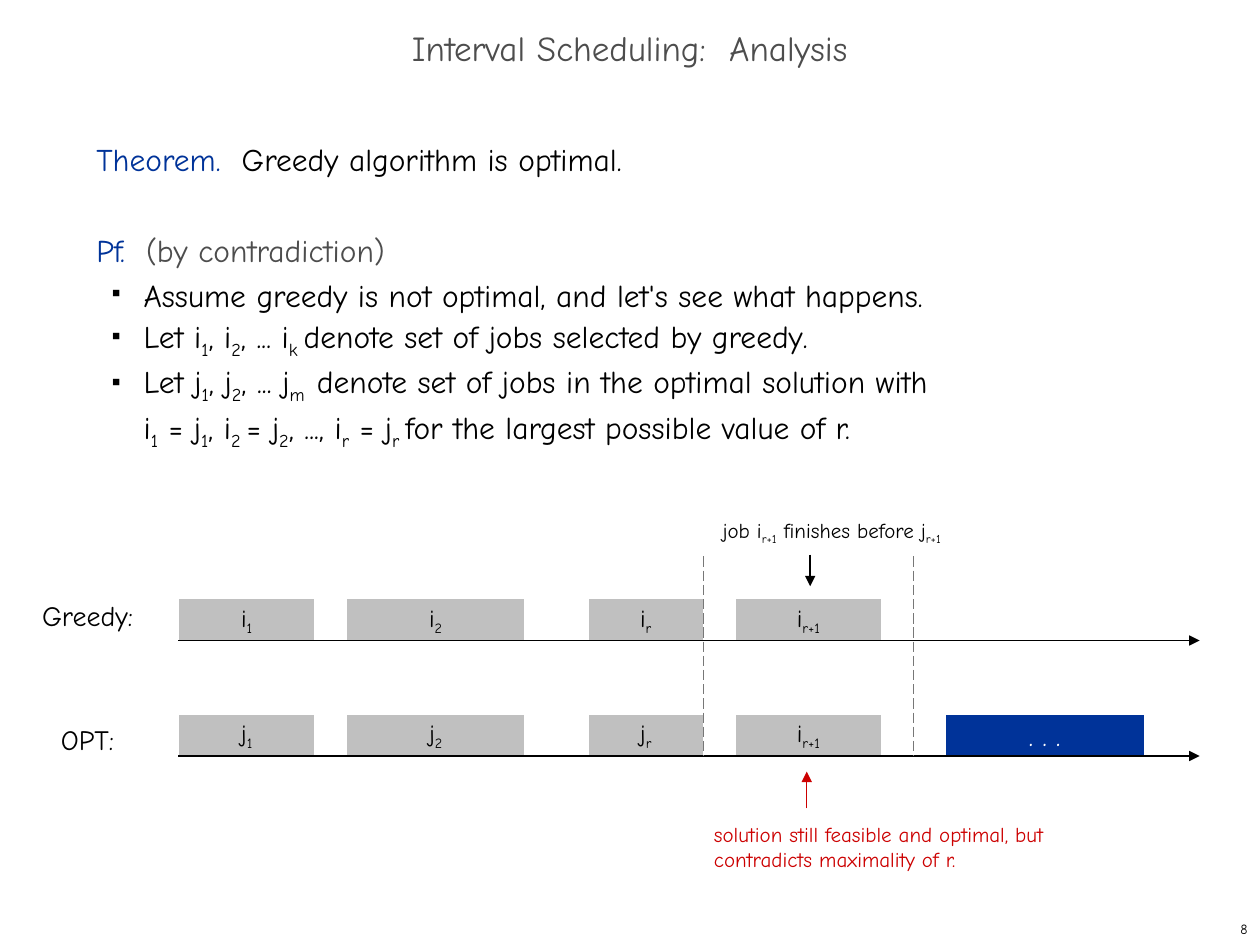
from lxml import etree
from pptx import Presentation
from pptx.dml.color import RGBColor
from pptx.enum.dml import MSO_LINE
from pptx.enum.shapes import MSO_CONNECTOR, MSO_SHAPE
from pptx.enum.text import MSO_ANCHOR, PP_ALIGN
from pptx.oxml.ns import qn
from pptx.util import Pt

BLACK = RGBColor(0x00, 0x00, 0x00)
WHITE = RGBColor(0xFF, 0xFF, 0xFF)
DARK = RGBColor(0x4D, 0x4D, 0x4D)
GRAY = RGBColor(0x77, 0x77, 0x77)
SILVER = RGBColor(0xC0, 0xC0, 0xC0)
BLUE = RGBColor(0x00, 0x33, 0x99)
RED = RGBColor(0xCC, 0x00, 0x00)
FONT = "Comic Neue"
LEFT, CENTER, RIGHT = PP_ALIGN.LEFT, PP_ALIGN.CENTER, PP_ALIGN.RIGHT
TOP, MIDDLE = MSO_ANCHOR.TOP, MSO_ANCHOR.MIDDLE


def add_runs(p, text, size, color):
    """Add text to p; every second part between bars is a subscript."""
    for i, part in enumerate(text.split("|")):
        for n, line in enumerate(part.split("\n")):
            if n:
                p.add_line_break()
            if not line:
                continue
            r = p.add_run()
            r.text = line
            r.font.name, r.font.size = FONT, Pt(size)
            r.font.color.rgb = color
            if i % 2:
                r.font._element.set("baseline", "-25000")


def add_line(x1, y1, x2, y2, color, width, arrow=True):
    c = s.shapes.add_connector(MSO_CONNECTOR.STRAIGHT, Pt(x1), Pt(y1), Pt(x2), Pt(y2))
    c.line.color.rgb, c.line.width = color, Pt(width)
    if arrow:
        etree.SubElement(c.line._get_or_add_ln(), qn("a:tailEnd"), type="triangle")
    else:
        c.line.dash_style = MSO_LINE.LONG_DASH
    etree.SubElement(c._element.spPr, qn("a:effectLst"))


prs = Presentation()
prs.slide_width, prs.slide_height = Pt(720), Pt(540)
s = prs.slides.add_slide(prs.slide_layouts[6])

# Title, labels, notes and page number
labels = [
    # left, top, width, height, text, size, color, align, anchor, wrap, inset
    (0, 12, 720, 36, "Interval Scheduling:  Analysis", 20, DARK, CENTER, MIDDLE, True, True),
    (16.5, 338.5, 67, 26.5, "Greedy:", 16, BLACK, CENTER, MIDDLE, False, True),
    (27.5, 409, 45, 26.5, "OPT:", 16, BLACK, CENTER, MIDDLE, False, True),
    (413, 295.5, 168.5, 16.5, "job i|r+1| finishes before j|r+1", 12, BLACK, LEFT, TOP, True, False),
    (408, 469.5, 204.5, 29, "solution still feasible and optimal, but contradicts maximality of r.",
     12, RED, LEFT, TOP, True, False),
    (570, 522, 150, 18, "8", 8, BLACK, RIGHT, MIDDLE, False, True),
]
for left, top, width, height, text, size, color, align, anchor, wrap, inset in labels:
    sp = s.shapes.add_textbox(Pt(left), Pt(top), Pt(width), Pt(height))
    tf = sp.text_frame
    tf.word_wrap, tf.vertical_anchor = wrap, anchor
    if not inset:
        tf.margin_left = tf.margin_right = tf.margin_top = tf.margin_bottom = 0
    p = tf.paragraphs[0]
    p.alignment = align
    add_runs(p, text, size, color)
    if size == 20:
        p.line_spacing = 0.7

# Theorem and proof
body = s.shapes.add_textbox(Pt(48), Pt(72), Pt(618), Pt(426))
tf = body.text_frame
tf.word_wrap = True
theorem = tf.paragraphs[0]
add_runs(theorem, "Theorem.  ", 18, BLUE)
add_runs(theorem, "Greedy algorithm is optimal.", 18, BLACK)
proof = tf.add_paragraph()
proof.space_before = Pt(26)
add_runs(proof, "Pf.  ", 18, BLUE)
add_runs(proof, "(by contradiction)", 18, DARK)

steps = [
    "Assume greedy is not optimal, and let's see what happens.",
    "Let i|1|, i|2|, ... i|k |denote set of jobs selected by greedy.",
    "Let j|1|, j|2|, ... j|m  |denote set of jobs in the optimal solution with\n"
    "i|1| = j|1|, i|2 |= j|2|, ..., i|r| = j|r |for the largest possible value of r.",
]
for step in steps:
    p = tf.add_paragraph()
    pPr = p._p.get_or_add_pPr()
    pPr.set("marL", str(Pt(27)))
    pPr.set("indent", str(Pt(-18)))
    bullet_color = etree.SubElement(pPr, qn("a:buClr"))
    etree.SubElement(bullet_color, qn("a:srgbClr"), val=str(BLACK))
    etree.SubElement(pPr, qn("a:buSzPct"), val="35000")
    etree.SubElement(pPr, qn("a:buChar"), char="■")
    add_runs(p, step, 18, BLACK)
for p in tf.paragraphs:
    p.line_spacing = Pt(26)

# Job schedules: each row is a time axis with jobs standing on it
slots = [(102, 78), (198, 102), (336, 66), (420, 84), (540, 114)]
schedules = [
    (366, ["i|1", "i|2", "i|r", "i|r+1"]),
    (432, ["j|1", "j|2", "j|r", "i|r+1", ". . ."]),
]
for axis, jobs in schedules:
    for (left, width), job in zip(slots, jobs):
        rest = job == ". . ."
        sp = s.shapes.add_shape(MSO_SHAPE.RECTANGLE, Pt(left), Pt(axis - 24), Pt(width), Pt(24))
        sp.shadow.inherit = False
        sp.fill.solid()
        sp.fill.fore_color.rgb = BLUE if rest else SILVER
        sp.line.color.rgb, sp.line.width = WHITE, Pt(0.75)
        tf = sp.text_frame
        tf.word_wrap, tf.vertical_anchor = False, MIDDLE
        p = tf.paragraphs[0]
        p.alignment = CENTER
        add_runs(p, job, 16 if rest else 14, WHITE if rest else BLACK)
    add_line(102, axis, 685.5, axis, BLACK, 1)

# Finish times and pointers
for x in (402, 522):
    add_line(x, 318, x, 432, GRAY, 0.75, arrow=False)
add_line(463, 317, 463, 335, BLACK, 1.25)
add_line(461, 462, 461, 441, RED, 0.75)

prs.save("out.pptx")
